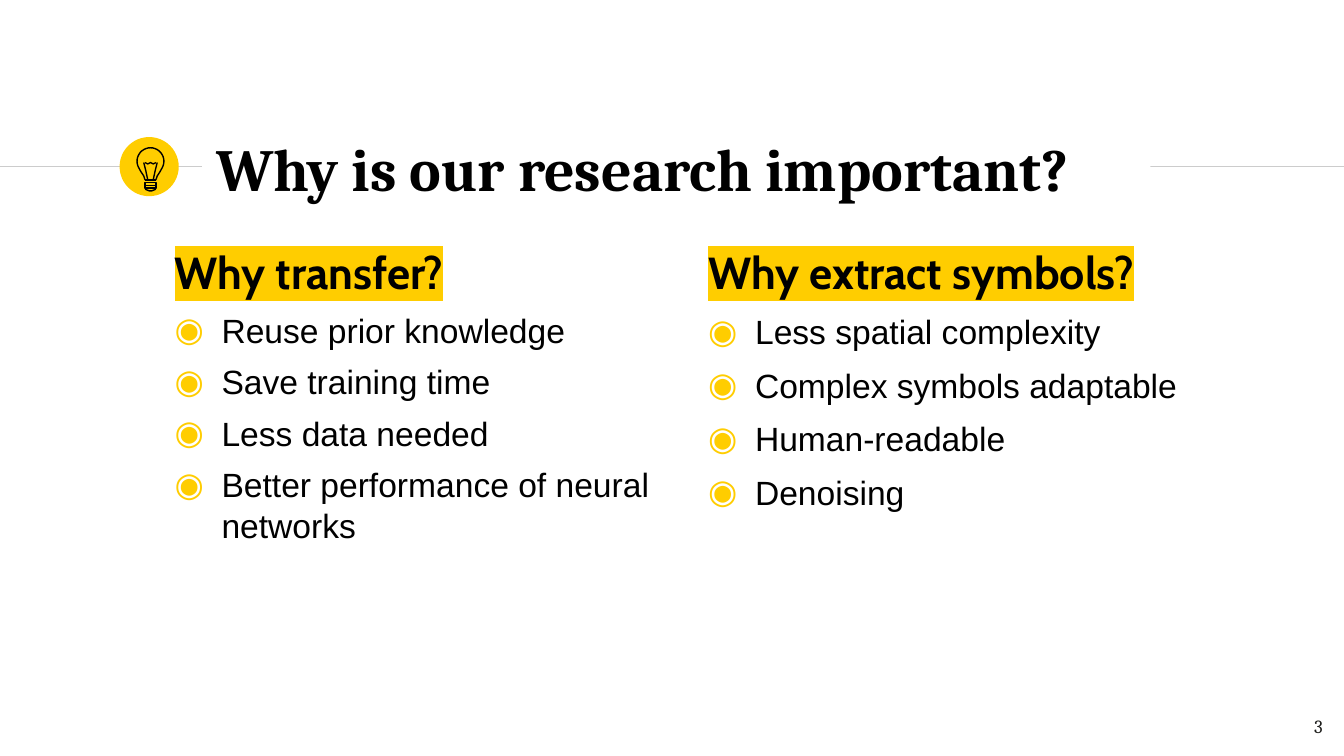
import math
from dataclasses import dataclass

import pptx
import pptx.dml.color
import pptx.enum.shapes
import pptx.enum.text
import pptx.oxml
import pptx.oxml.ns
import pptx.util
from pptx.util import Inches


@dataclass(frozen=True)
class Theme:
    yellow: str = "FFCD00"
    black: str = "000000"
    white: str = "FFFFFF"
    rule: str = "CCCCCC"
    number: str = "1D1D1B"
    title_font: str = "Cambria"
    heading_font: str = "Cabin"
    body_font: str = "Arial"
    title_size: int = 32
    heading_size: int = 24
    body_size: int = 18
    number_size: int = 10
    line_width: float = 0.75


THEME = Theme()


def rgb(value):
    return pptx.dml.color.RGBColor.from_string(value)


def xml_element(tag, content="", attributes=""):
    namespace = pptx.oxml.ns.nsdecls("a")
    return pptx.oxml.parse_xml(f"<a:{tag} {namespace} {attributes}>{content}</a:{tag}>")


def color_xml(value):
    return f'<a:srgbClr val="{value}"/>'


def style_line(line, color):
    line.color.rgb = rgb(color)
    line.width = pptx.util.Pt(THEME.line_width)


def style_run(paragraph, font_name, size, color, bold=False):
    font = paragraph.runs[0].font
    font.name, font.size, font.bold = font_name, pptx.util.Pt(size), bold
    font.color.rgb = rgb(color)


def add_text_box(slide, box):
    shape = slide.shapes.add_textbox(*map(Inches, box))
    frame = shape.text_frame
    frame.word_wrap = True
    frame.margin_left = frame.margin_right = Inches(0.1)
    frame.margin_top = frame.margin_bottom = Inches(0.1)
    return shape


def add_rule(slide, start, end, y):
    connector = slide.shapes.add_connector(
        pptx.enum.shapes.MSO_CONNECTOR.STRAIGHT,
        Inches(start), Inches(y), Inches(end), Inches(y))
    style_line(connector.line, THEME.rule)
    connector._element.spPr.append(xml_element("effectLst"))


def add_badge(slide, box):
    """Yellow disc."""
    disc = slide.shapes.add_shape(
        pptx.enum.shapes.MSO_SHAPE.OVAL, *map(Inches, box))
    disc.shadow.inherit = False
    disc.fill.solid()
    disc.fill.fore_color.rgb = rgb(THEME.yellow)
    disc.line.fill.background()


def add_bulb(slide, box):
    """Light bulb drawn in hundredths of an inch from the corner of its box."""
    left, top, width, _ = box
    radius = width * 50
    angles = [math.radians(degree) for degree in range(30, -211, -10)]
    glass = [(radius + radius * math.cos(angle), radius + radius * math.sin(angle))
             for angle in angles]
    strokes = [
        ([(14, 24), (15, 21), (17, 18)] + glass + [(3, 18), (5, 21), (6, 24)], False),
        ([(8, 24), (6.5, 17), (5, 11)], False),
        ([(12, 24), (13.5, 17), (15, 11)], False),
        ([(6, 11), (8, 12), (10, 11), (12, 12), (14, 11)], False),
        ([(6, 24), (14, 24)], False),
        ([(6, 30), (6.5, 31), (9, 32), (11, 32), (13.5, 31), (14, 30)], True),
    ]
    # Two threads of the screw base
    strokes += [([(6, y), (14, y), (14, y + 2), (6, y + 2)], True) for y in (26, 28)]

    for points, closed in strokes:
        first, *others = [(Inches(x / 100), Inches(y / 100)) for x, y in points]
        builder = slide.shapes.build_freeform(*first)
        builder.add_line_segments(others, close=closed)
        stroke = builder.convert_to_shape(Inches(left), Inches(top))
        stroke.shadow.inherit = False
        stroke.fill.background()
        style_line(stroke.line, THEME.black)


def add_title(slide, box, text):
    shape = add_text_box(slide, box)
    shape.fill.solid()
    shape.fill.fore_color.rgb = rgb(THEME.white)
    frame = shape.text_frame
    frame.vertical_anchor = pptx.enum.text.MSO_ANCHOR.MIDDLE
    frame.text = text
    style_run(frame.paragraphs[0], THEME.title_font, THEME.title_size,
              THEME.black, bold=True)


def add_bullet(paragraph):
    properties = paragraph._p.get_or_add_pPr()
    properties.set("marL", str(Inches(0.35)))
    properties.set("indent", str(-Inches(0.35)))
    properties.append(xml_element("buClr", color_xml(THEME.yellow)))
    properties.append(xml_element(
        "buFont", attributes=f'typeface="{THEME.heading_font}"'))
    properties.append(xml_element("buChar", attributes='char="◉"'))


def add_column(slide, box, heading, items, item_gap):
    """Highlighted heading above a bulleted list."""
    frame = add_text_box(slide, box).text_frame
    frame.text = "\n".join([heading, *items])
    first, *bullets = frame.paragraphs
    first.space_before = pptx.util.Pt(6)
    style_run(first, THEME.heading_font, THEME.heading_size, THEME.black, bold=True)
    fill = first.runs[0]._r.rPr.find(pptx.oxml.ns.qn("a:solidFill"))
    fill.addnext(xml_element("highlight", color_xml(THEME.yellow)))
    for paragraph in bullets:
        paragraph.space_before = pptx.util.Pt(item_gap)
        add_bullet(paragraph)
        style_run(paragraph, THEME.body_font, THEME.body_size, THEME.black)


def add_page_number(slide, box, number):
    frame = add_text_box(slide, box).text_frame
    frame.vertical_anchor = pptx.enum.text.MSO_ANCHOR.MIDDLE
    frame.text = str(number)
    paragraph = frame.paragraphs[0]
    paragraph.alignment = pptx.enum.text.PP_ALIGN.RIGHT
    style_run(paragraph, THEME.title_font, THEME.number_size, THEME.number)


def main():
    presentation = pptx.Presentation()
    # Widescreen, 16:9
    presentation.slide_width = Inches(10)
    presentation.slide_height = Inches(10 * 9 / 16)
    slide = presentation.slides.add_slide(presentation.slide_layouts[6])

    # Header band
    add_rule(slide, 0, 1.5, 1.24)
    add_badge(slide, (0.89, 1.02, 0.44, 0.44))
    add_rule(slide, 5.76, 10, 1.24)

    # Two columns around the title
    add_column(slide, (1.2, 1.72, 3.75, 3.53), "Why transfer?",
               ["Reuse prior knowledge", "Save training time", "Less data needed",
                "Better performance of neural networks"], item_gap=6)
    add_title(slide, (1.51, 0.94, 7.05, 0.61), "Why is our research important?")
    add_column(slide, (5.17, 1.72, 4.37, 3.53), "Why extract symbols?",
               ["Less spatial complexity", "Complex symbols adaptable",
                "Human-readable", "Denoising"], item_gap=7)

    # Page number and icon
    add_page_number(slide, (9.34, 5.19, 0.6, 0.43), 3)
    add_bulb(slide, (1.02, 1.1, 0.2, 0.32))
    presentation.save("out.pptx")


if __name__ == "__main__":
    main()
